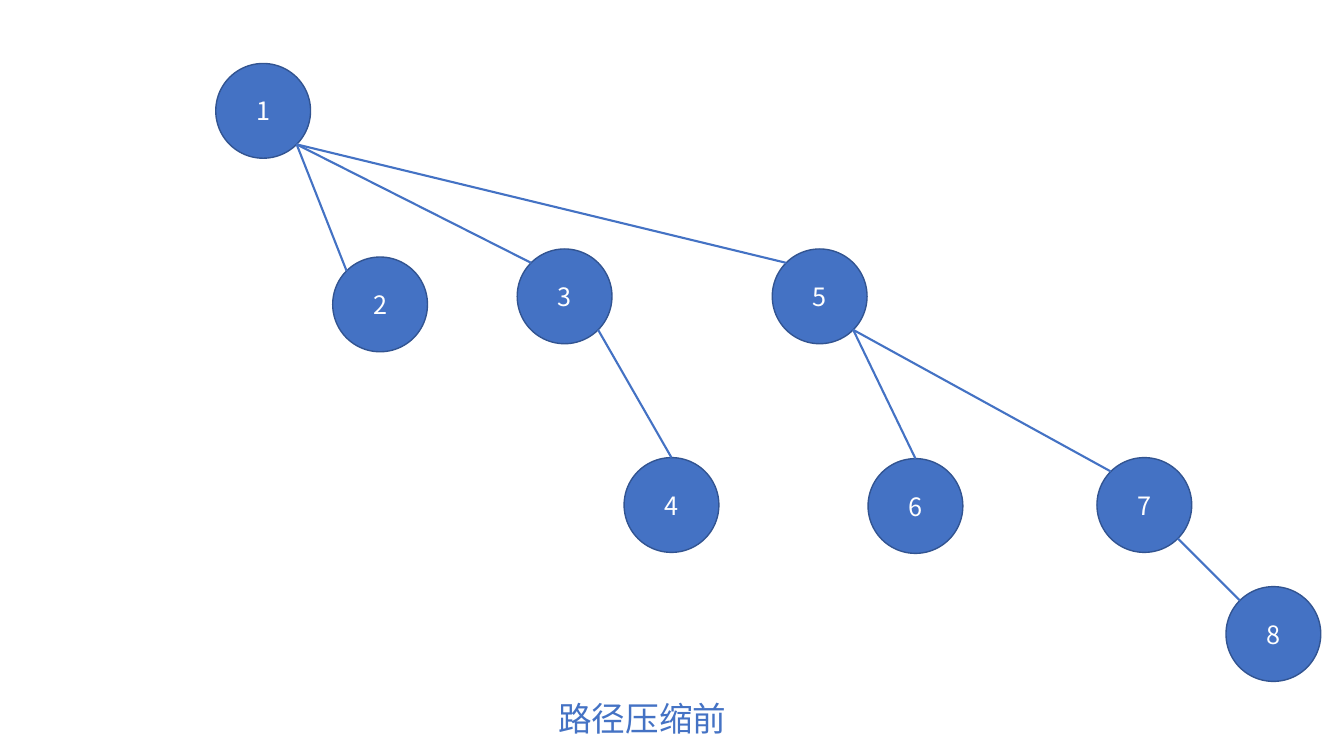
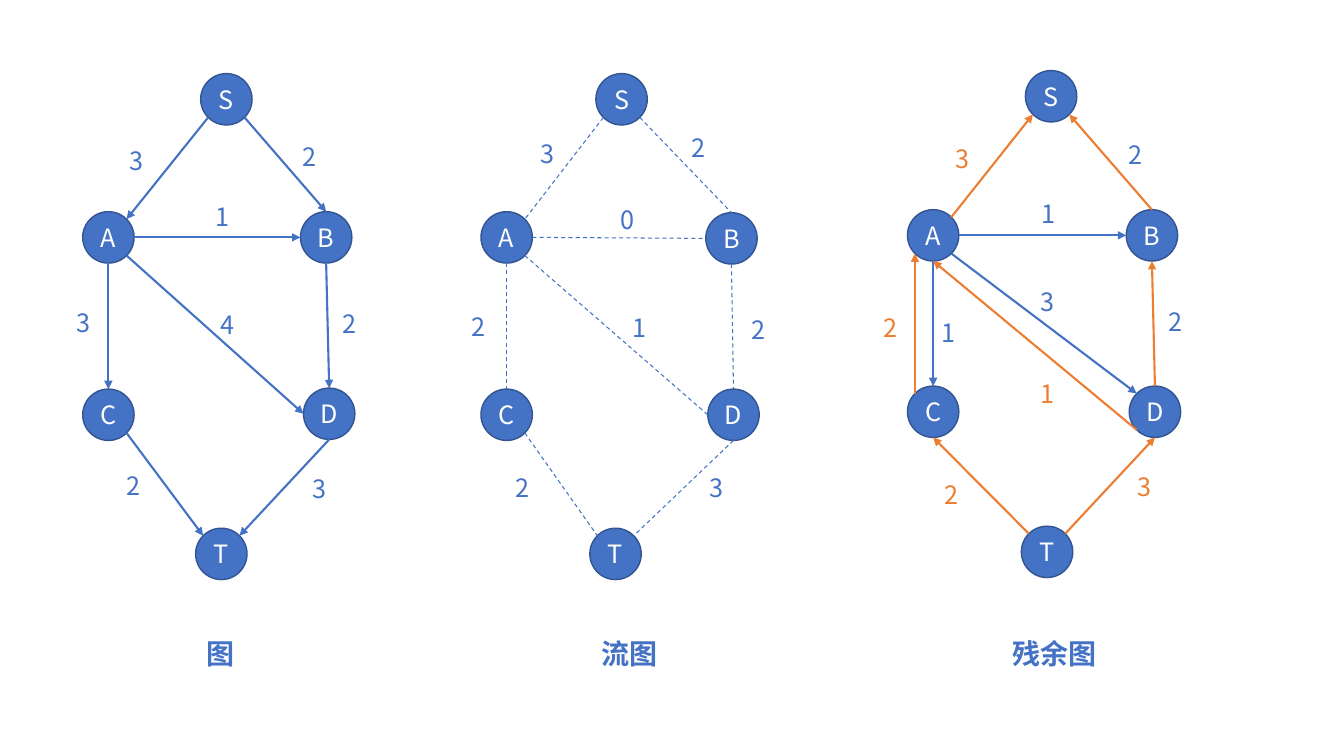
"""Build two slides of graph diagrams: a union-find tree and flow networks."""
from dataclasses import dataclass
from math import cos, pi, sin
from typing import NamedTuple

from lxml import etree
from pptx import Presentation
from pptx.dml.color import RGBColor
from pptx.enum.dml import MSO_LINE
from pptx.enum.shapes import MSO_CONNECTOR, MSO_SHAPE
from pptx.enum.text import MSO_ANCHOR, MSO_AUTO_SIZE, PP_ALIGN
from pptx.oxml.ns import qn
from pptx.shapes.autoshape import Shape
from pptx.slide import Slide
from pptx.text.text import TextFrame
from pptx.util import Inches, Length, Pt

OVAL = MSO_SHAPE.OVAL
STRAIGHT = MSO_CONNECTOR.STRAIGHT
DASH = MSO_LINE.DASH
MIDDLE = MSO_ANCHOR.MIDDLE
CENTER = PP_ALIGN.CENTER
LEFT = PP_ALIGN.LEFT
GROW = MSO_AUTO_SIZE.SHAPE_TO_FIT_TEXT
COMPASS = ("N", "NW", "W", "SW", "S", "SE", "E", "NE")


@dataclass(frozen=True)
class Theme:
    font: str = "Noto Sans CJK SC"
    blue: RGBColor = RGBColor(0x44, 0x72, 0xC4)
    outline: RGBColor = RGBColor(0x32, 0x54, 0x91)
    orange: RGBColor = RGBColor(0xED, 0x7D, 0x31)
    white: RGBColor = RGBColor(0xFF, 0xFF, 0xFF)
    body: Length = Pt(18)
    graph_title: Length = Pt(20)
    slide_title: Length = Pt(24)
    node_line: Length = Pt(1)
    edge_line: Length = Pt(1.5)
    dashed_line: Length = Pt(0.75)


THEME = Theme()


class Edge(NamedTuple):
    start: str
    start_side: str
    end: str
    end_side: str
    color: RGBColor = THEME.blue


class Weight(NamedTuple):
    text: str
    x: float
    y: float
    color: RGBColor = THEME.blue


class EdgeStyle(NamedTuple):
    width: Length = THEME.edge_line
    dashed: bool = False
    arrow: bool = False


class Graph(NamedTuple):
    diameter: float
    nodes: dict[str, tuple[float, float]]
    edges: list[Edge]
    style: EdgeStyle = EdgeStyle()
    weights: tuple[Weight, ...] = ()
    title: str = ""
    title_x: float = 0


PLAIN = EdgeStyle()
ARROW = EdgeStyle(arrow=True)
DASHED = EdgeStyle(THEME.dashed_line, dashed=True)

TREE = Graph(
    0.94,
    {"1": (2.14, 0.63), "2": (3.3, 2.55), "3": (5.13, 2.47), "4": (6.19, 4.54),
     "5": (7.66, 2.47), "6": (8.61, 4.55), "7": (10.88, 4.54), "8": (12.16, 5.82)},
    [Edge("1", "SE", "2", "NW"), Edge("1", "SE", "3", "NW"),
     Edge("1", "SE", "5", "NW"), Edge("3", "SE", "4", "N"),
     Edge("5", "SE", "6", "N"), Edge("5", "SE", "7", "NW"),
     Edge("7", "SE", "8", "NW")],
    PLAIN,
)

FLOW_EDGES = [
    Edge("S", "SE", "B", "N"), Edge("D", "S", "T", "NE"),
    Edge("S", "SW", "A", "NE"), Edge("A", "E", "B", "W"),
    Edge("C", "SE", "T", "NW"), Edge("A", "S", "C", "N"),
    Edge("A", "SE", "D", "W"), Edge("B", "S", "D", "N"),
]

RESIDUAL_EDGES = [
    Edge("B", "N", "S", "SE", THEME.orange), Edge("T", "NE", "D", "S", THEME.orange),
    Edge("A", "NE", "S", "SW", THEME.orange), Edge("A", "E", "B", "W"),
    Edge("T", "NW", "C", "S", THEME.orange), Edge("A", "S", "C", "N"),
    Edge("A", "SE", "D", "NW"), Edge("D", "N", "B", "S", THEME.orange),
    Edge("D", "SW", "A", "S", THEME.orange), Edge("C", "NW", "A", "SW", THEME.orange),
]

NETWORKS = [
    Graph(
        0.51,
        {"S": (1.99, 0.73), "B": (2.98, 2.1), "D": (3.01, 3.85),
         "A": (0.82, 2.1), "T": (1.94, 5.24), "C": (0.82, 3.86)},
        FLOW_EDGES, ARROW,
        (Weight("3", 1.19, 1.39), Weight("2", 2.9, 1.35), Weight("1", 2.04, 1.95),
         Weight("4", 2.09, 3.02), Weight("3", 0.66, 3), Weight("2", 1.16, 4.62),
         Weight("3", 3, 4.65), Weight("2", 3.3, 3.01)),
        "图", 1.95,
    ),
    Graph(
        0.51,
        {"S": (5.91, 0.73), "B": (7, 2.11), "D": (7.02, 3.86),
         "A": (4.77, 2.1), "T": (5.85, 5.24), "C": (4.77, 3.86)},
        FLOW_EDGES, DASHED,
        (Weight("3", 5.26, 1.32), Weight("2", 6.76, 1.26), Weight("0", 6.06, 1.98),
         Weight("2", 7.36, 3.07), Weight("2", 4.58, 3.04), Weight("3", 6.94, 4.64),
         Weight("1", 6.18, 3.05), Weight("2", 5.01, 4.64)),
        "流图", 5.87,
    ),
    Graph(
        0.51,
        {"S": (10.17, 0.7), "B": (11.17, 2.08), "D": (11.2, 3.83),
         "A": (9, 2.08), "T": (10.13, 5.22), "C": (9, 3.83)},
        RESIDUAL_EDGES, ARROW,
        (Weight("3", 9.38, 1.37, THEME.orange), Weight("2", 11.09, 1.33),
         Weight("1", 10.23, 1.92), Weight("3", 10.22, 2.79), Weight("1", 9.24, 3.1),
         Weight("2", 9.27, 4.71, THEME.orange), Weight("3", 11.18, 4.63, THEME.orange),
         Weight("2", 11.49, 2.99), Weight("1", 10.22, 3.7, THEME.orange),
         Weight("2", 8.66, 3.05, THEME.orange)),
        "残余图", 9.94,
    ),
]


def write(frame: TextFrame, text: str, size: Length, color: RGBColor,
          align: PP_ALIGN = LEFT, bold: bool = False) -> None:
    frame.text = text
    paragraph = frame.paragraphs[0]
    paragraph.alignment = align
    run = paragraph.runs[0]
    run.font.size = size
    run.font.bold = bold
    run.font.color.rgb = color
    run.font.name = THEME.font
    etree.SubElement(run.font._element, qn("a:ea"), typeface=THEME.font)


def add_label(slide: Slide, text: str, x: float, y: float, width: float,
              height: float, size: Length, color: RGBColor,
              align: PP_ALIGN = LEFT, bold: bool = False, wrap: bool = False) -> None:
    label = slide.shapes.add_textbox(
        Inches(x), Inches(y), Inches(width), Inches(height))
    label.text_frame.word_wrap = wrap
    label.text_frame.auto_size = GROW
    write(label.text_frame, text, size, color, align, bold)


def add_node(slide: Slide, name: str, x: float, y: float, diameter: float) -> Shape:
    node = slide.shapes.add_shape(
        OVAL, Inches(x), Inches(y), Inches(diameter), Inches(diameter))
    node.shadow.inherit = False
    node.fill.solid()
    node.fill.fore_color.rgb = THEME.blue
    node.line.color.rgb = THEME.outline
    node.line.width = THEME.node_line
    frame = node.text_frame
    frame.margin_left = frame.margin_right = 0
    frame.vertical_anchor = MIDDLE
    write(frame, name, THEME.body, THEME.white, CENTER)
    return node


def rim_point(node: Shape, side: str) -> tuple[int, int]:
    angle = COMPASS.index(side) * pi / 4
    radius = node.width / 2
    return (round(node.left + radius * (1 - sin(angle))),
            round(node.top + radius * (1 - cos(angle))))


def add_edge(slide: Slide, edge: Edge, nodes: dict[str, Shape],
             style: EdgeStyle) -> None:
    start, end = nodes[edge.start], nodes[edge.end]
    link = slide.shapes.add_connector(
        STRAIGHT, *rim_point(start, edge.start_side), *rim_point(end, edge.end_side))
    link.line.color.rgb = edge.color
    link.line.width = style.width
    if style.dashed:
        link.line.dash_style = DASH
    properties = link._element.spPr
    if style.arrow:
        etree.SubElement(properties.find(qn("a:ln")), qn("a:tailEnd"), type="triangle")
    etree.SubElement(properties, qn("a:effectLst"))
    glue = link._element.find(".//" + qn("p:cNvCxnSpPr"))
    for tag, node, side in (("a:stCxn", start, edge.start_side),
                            ("a:endCxn", end, edge.end_side)):
        etree.SubElement(glue, qn(tag), id=str(node.shape_id),
                         idx=str(COMPASS.index(side)))


def add_graph(slide: Slide, graph: Graph) -> None:
    nodes = {name: add_node(slide, name, x, y, graph.diameter)
             for name, (x, y) in graph.nodes.items()}
    for edge in graph.edges:
        add_edge(slide, edge, nodes, graph.style)
    for weight in graph.weights:
        add_label(slide, weight.text, weight.x, weight.y, 0.34, 0.4,
                  THEME.body, weight.color)
    if graph.title:
        add_label(slide, graph.title, graph.title_x, 6.27,
                  0.2 + 0.28 * len(graph.title), 0.44,
                  THEME.graph_title, THEME.blue, bold=True)


def main() -> None:
    deck = Presentation()
    deck.slide_width, deck.slide_height = Inches(13.33), Inches(7.5)
    blank = deck.slide_layouts[6]

    tree_slide = deck.slides.add_slide(blank)
    add_label(tree_slide, "路径压缩前", 1.62, 6.87, 9.5, 0.5,
              THEME.slide_title, THEME.blue, CENTER, wrap=True)
    add_graph(tree_slide, TREE)

    flow_slide = deck.slides.add_slide(blank)
    for network in NETWORKS:
        add_graph(flow_slide, network)

    deck.save("out.pptx")


if __name__ == "__main__":
    main()
